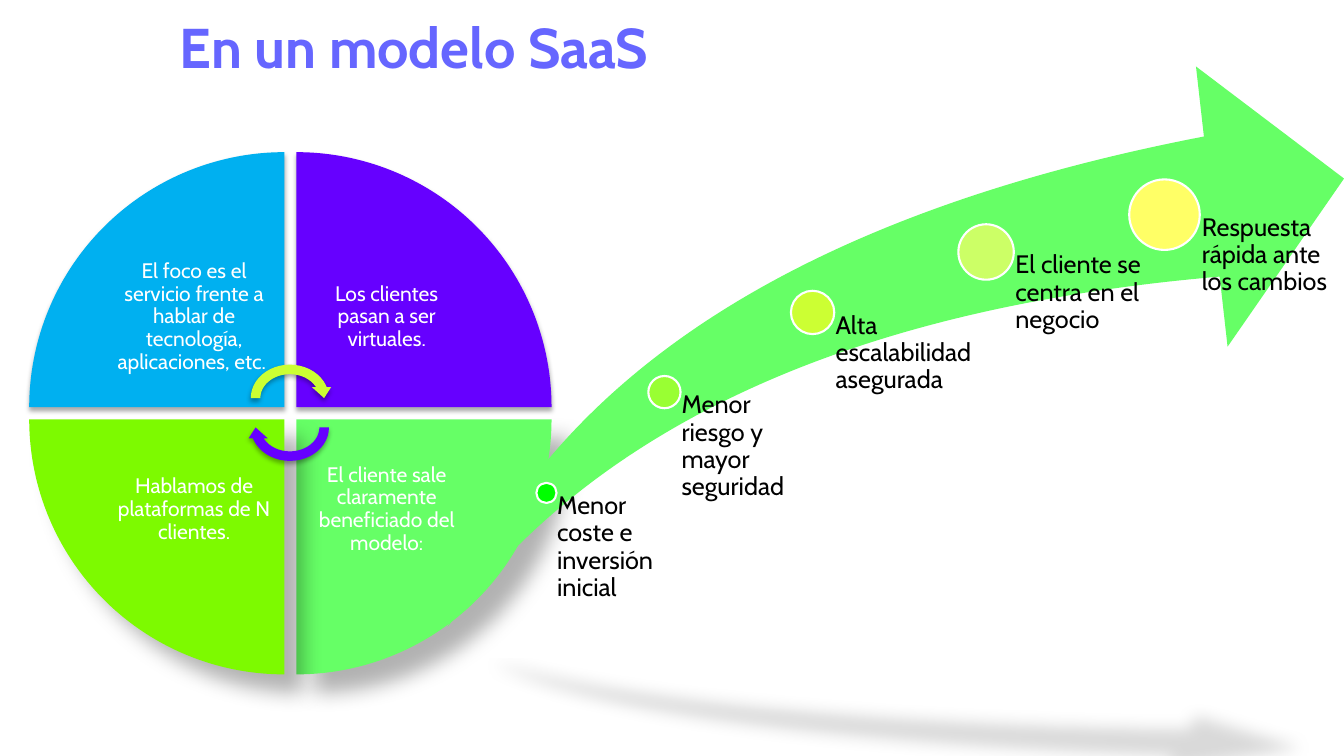
from lxml import etree
from pptx import Presentation
from pptx.dml.color import RGBColor
from pptx.enum.shapes import MSO_SHAPE
from pptx.enum.text import MSO_ANCHOR, PP_ALIGN
from pptx.oxml import parse_xml
from pptx.oxml.ns import nsdecls
from pptx.util import Inches, Pt

WEDGE = MSO_SHAPE.PIE_WEDGE
CYCLE = MSO_SHAPE.CIRCULAR_ARROW
SWOOSH = MSO_SHAPE.SWOOSH_ARROW
DOT = MSO_SHAPE.OVAL
TOP, MIDDLE = MSO_ANCHOR.TOP, MSO_ANCHOR.MIDDLE
LEFT, CENTER = PP_ALIGN.LEFT, PP_ALIGN.CENTER

FONT = "Cabin"
SOFT = dict(alpha=32, blur=3.5, dist=2.2, angle=90)
DEEP = dict(alpha=30, blur=15, dist=18, angle=45)
FLOOR = dict(alpha=15, blur=12, dist=25, angle=90,
             scale='sx="90000" sy="-19000"')

TITLE = "En un modelo SaaS "
QUADRANTS = [
    ("El foco es el servicio frente a hablar de tecnología, aplicaciones, etc. ",
     "00B0F0", SOFT, 0, 0),
    ("Los clientes pasan a ser virtuales.", "6600FF", SOFT, 1, 0),
    ("El cliente sale claramente beneficiado del modelo:", "66FF66", DEEP, 1, 1),
    ("Hablamos de plataformas de N clientes.", "7DFA00", DEEP, 0, 1),
]
CYCLE_ARROWS = [(3.57, 0, "CCFF33"), (3.86, 180, "6600FF")]
BENEFITS = [
    ("Menor coste e inversión inicial", 5.42, 4.89, 0.2, 1.16, "00FF00"),
    ("Menor riesgo y mayor seguridad", 6.59, 3.89, 0.32, 1.48, "99FF33"),
    ("Alta escalabilidad asegurada", 8.06, 3.1, 0.43, 1.72, "CCFF33"),
    ("El cliente se centra en el negocio", 9.78, 2.5, 0.55, 1.78, "CCFF66"),
    ("Respuesta rápida ante los cambios", 11.55, 2.13, 0.7, 1.78, "FFFF66"),
]

WHEEL_LEFT, WHEEL_TOP = 0.29, 1.51
WEDGE_SIZE, WEDGE_STEP, CAPTION_SIZE = 2.53, 2.65, 1.79
SWOOSH_BOX = (4.44, 0.66, 8.89, 5.56)
LABEL_BOTTOM = 6.22


def rgb(value):
    return RGBColor.from_string(value)


def add_shadow(shape, alpha, blur, dist, angle, scale=""):
    shape._element.spPr.find(
        "{http://schemas.openxmlformats.org/drawingml/2006/main}effectLst"
    ).append(parse_xml(
        f'<a:outerShdw {nsdecls("a")} blurRad="{Pt(blur)}" dist="{Pt(dist)}" '
        f'dir="{angle * 60000}" {scale} rotWithShape="0">'
        f'<a:srgbClr val="000000"><a:alpha val="{alpha * 1000}"/></a:srgbClr>'
        '</a:outerShdw>'))


def add_figure(kind, box, fill, shadow=None, rotation=0, outline=None):
    figure = slide.shapes.add_shape(kind, *map(Inches, box))
    figure.rotation = rotation
    figure.fill.solid()
    figure.fill.fore_color.rgb = rgb(fill)
    if outline:
        figure.line.color.rgb = rgb(outline)
        figure.line.width = Pt(1.5)
    else:
        figure.line.fill.background()
    figure.shadow.inherit = False
    if shadow:
        add_shadow(figure, **shadow)
    return figure


def add_words(words, box, size, color, insets, align=LEFT, anchor=TOP,
              spacing=0.9):
    frame = slide.shapes.add_textbox(*map(Inches, box)).text_frame
    frame.word_wrap = True
    frame.vertical_anchor = anchor
    (frame.margin_left, frame.margin_top,
     frame.margin_right, frame.margin_bottom) = map(Inches, insets)
    frame.text = words
    paragraph = frame.paragraphs[0]
    paragraph.alignment = align
    paragraph.line_spacing = spacing
    font = paragraph.runs[0].font
    font.name = FONT
    font.size = Pt(size)
    font.color.rgb = rgb(color)
    return paragraph.runs[0]


prs = Presentation()
prs.slide_width, prs.slide_height = Inches(13.33), Inches(7.5)
slide = prs.slides.add_slide(prs.slide_layouts[6])

heading = add_words(TITLE, (0.31, 0.08, 7.72, 0.77), 40, "6666FF",
                    (0.1, 0.05, 0.1, 0.05), CENTER, spacing=1.0)
heading.font.bold = True
outline = parse_xml(f'<a:ln {nsdecls("a")} w="{Pt(0.75)}"/>')
edge = etree.SubElement(outline, outline.tag.replace("}ln", "}solidFill"))
etree.SubElement(edge, edge.tag.replace("solidFill", "srgbClr"), val="00FFCC")
heading.font._element.insert(0, outline)

for turn, (words, color, shadow, column, row) in enumerate(QUADRANTS):
    left = WHEEL_LEFT + column * WEDGE_STEP
    top = WHEEL_TOP + row * WEDGE_STEP
    inward = WEDGE_SIZE - CAPTION_SIZE
    add_figure(WEDGE, (left, top, WEDGE_SIZE, WEDGE_SIZE), color, shadow,
               90 * turn)
    add_words(words, (left + inward * (1 - column), top + inward * (1 - row),
                      CAPTION_SIZE, CAPTION_SIZE),
              15, "FFFFFF", [0.12] * 4, CENTER, MIDDLE)

for top, rotation, color in CYCLE_ARROWS:
    add_figure(CYCLE, (2.44, top, 0.87, 0.76), color, SOFT, rotation)

swoosh = add_figure(SWOOSH, SWOOSH_BOX, "66FF66", FLOOR)
swoosh.adjustments[0] = swoosh.adjustments[1] = 0.25

for words, x, y, diameter, width, color in BENEFITS:
    add_figure(DOT, (x - diameter / 2, y - diameter / 2, diameter, diameter),
               color, outline="FFFFFF")
    add_words(words, (x, y, width, LABEL_BOTTOM - y), 18, "000000",
              (0.53 * diameter, 0, 0, 0))

prs.save("out.pptx")
